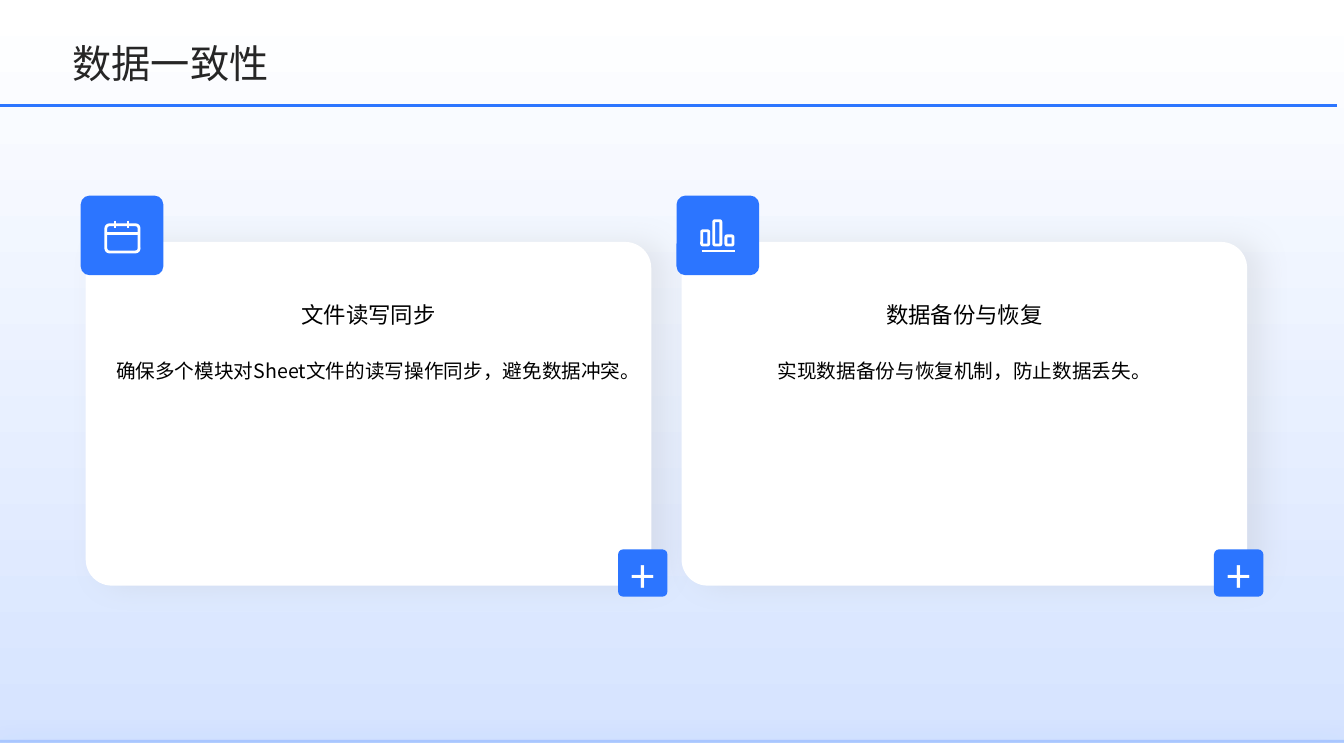
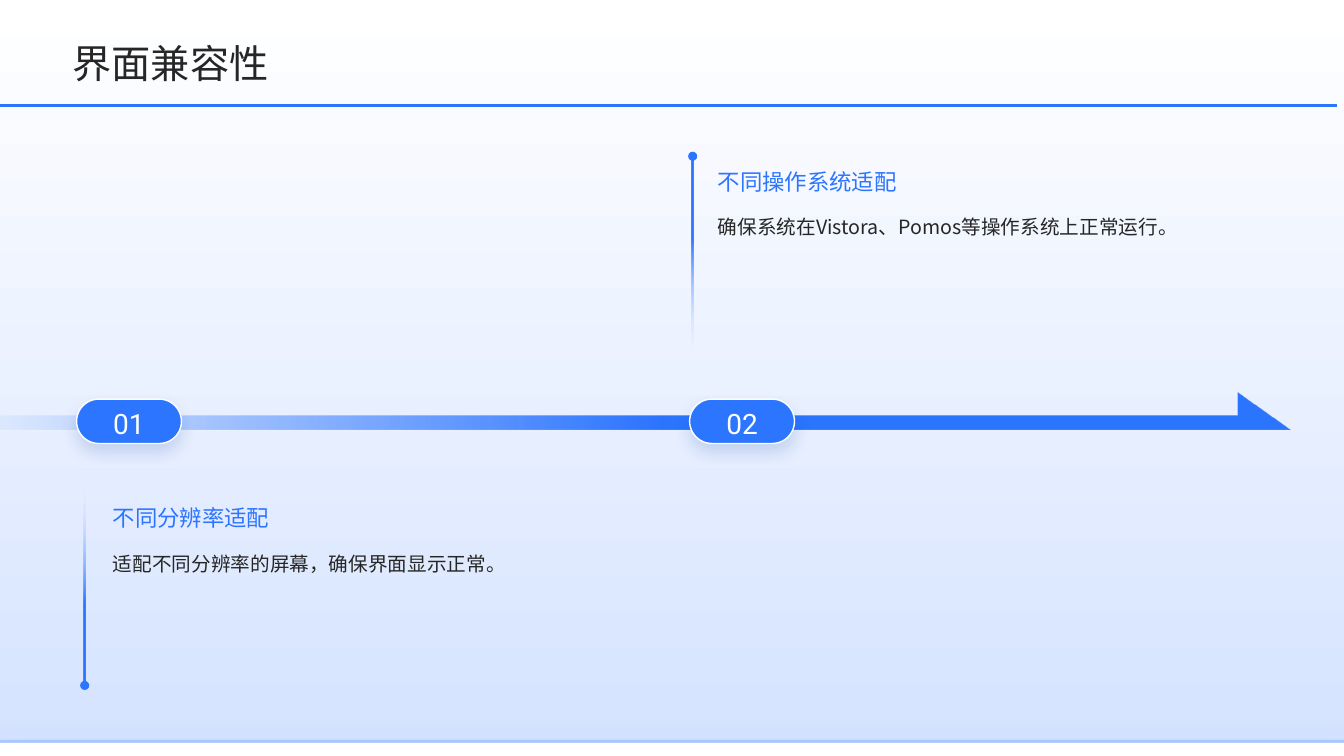
from dataclasses import dataclass

import pptx
import pptx.dml.color
import pptx.enum.dml
import pptx.enum.shapes
import pptx.enum.text
import pptx.oxml
import pptx.oxml.ns
import pptx.presentation
import pptx.shapes.base
import pptx.shapes.autoshape
import pptx.slide
import pptx.text.text
import pptx.util
from lxml import etree

Inches = pptx.util.Inches
Pt = pptx.util.Pt
Color = pptx.dml.color.RGBColor
Kind = pptx.enum.shapes.MSO_SHAPE
Align = pptx.enum.text.PP_ALIGN
Anchor = pptx.enum.text.MSO_ANCHOR
Shape = pptx.shapes.autoshape.Shape
Slide = pptx.slide.Slide
qn = pptx.oxml.ns.qn

BLUE = Color(0x2C, 0x75, 0xFF)
PALE = Color(0xD5, 0xE3, 0xFF)
SOFT = Color(0xAB, 0xC8, 0xFF)
NAVY = Color(0x00, 0x34, 0x96)
GRAY = Color(0xA6, 0xA6, 0xA6)
INK = Color(0x26, 0x26, 0x26)
BLACK = Color(0, 0, 0)
WHITE = Color(0xFF, 0xFF, 0xFF)
SANS = "Noto Sans CJK SC"
WIDTH, HEIGHT = 13.33, 7.5

Box = tuple[float, float, float, float]


@dataclass(frozen=True)
class Shade:
    color: Color
    alpha: int
    blur: float
    dist: float
    angle: int


@dataclass(frozen=True)
class Stop:
    place: float
    color: Color
    alpha: int = 100


@dataclass(frozen=True)
class Type:
    size: float
    color: Color
    font: str = SANS
    align: Align = Align.LEFT
    space: float = 1.0


@dataclass(frozen=True)
class Icon:
    """Outlined boxes (with their corner ratio) and strokes, relative to a tile."""
    frames: list[Box]
    round: float
    strokes: list[Box]


@dataclass(frozen=True)
class Card:
    head: str
    body: str
    icon: Icon


@dataclass(frozen=True)
class Step:
    mark: str
    head: str
    body: str
    pill: float
    stem: float
    text: float
    top: float
    mid: float
    dot: float
    turn: int


FOOT = Shade(BLUE, 10, 25, 10, 90)
LIFT = Shade(GRAY, 20, 20, 10, 0)
DROP = Shade(NAVY, 15, 12, 6, 90)

TITLE = Type(28, INK, space=1.1)
CARD_HEAD = Type(16, BLACK, align=Align.CENTER, space=1.1)
CARD_BODY = Type(14, BLACK, align=Align.CENTER, space=1.4)
PLUS = Type(32, WHITE, align=Align.CENTER, space=1.1)
MARK = Type(20, WHITE, "Roboto", Align.CENTER, 1.1)
STEP_HEAD = Type(16, BLUE)
STEP_BODY = Type(14, INK, space=1.5)

DATES = Icon([(0.25, 0.29, 0.33, 0.27)], 0.13,
             [(0.25, 0.38, 0.58, 0.38), (0.34, 0.25, 0.34, 0.32),
              (0.47, 0.25, 0.47, 0.32)])
CHART = Icon([(0.25, 0.35, 0.07, 0.14), (0.37, 0.25, 0.07, 0.24),
              (0.49, 0.4, 0.07, 0.09)], 0.15, [(0.25, 0.55, 0.58, 0.55)])

CARDS = [
    Card("文件读写同步", "确保多个模块对Sheet文件的读写操作同步，避免数据冲突。", DATES),
    Card("数据备份与恢复", "实现数据备份与恢复机制，防止数据丢失。", CHART),
]
STEPS = [
    Step("01", "不同分辨率适配", "适配不同分辨率的屏幕，确保界面显示正常。",
         0.76, 0.84, 1.12, 4.74, 5.81, 6.8, 270),
    Step("02", "不同操作系统适配", "确保系统在Vistora、Pomos等操作系统上正常运行。",
         6.84, 6.87, 7.12, 1.4, 2.54, 1.55, 90),
]


def add_alpha(color: etree._Element, alpha: int) -> None:
    if alpha < 100:
        etree.SubElement(color, qn("a:alpha")).set("val", str(alpha * 1000))


def add_shade(shape: Shape, shade: Shade) -> None:
    glow = etree.SubElement(shape.element.spPr.find(qn("a:effectLst")), qn("a:outerShdw"))
    glow.set("blurRad", str(Pt(shade.blur)))
    glow.set("dist", str(Pt(shade.dist)))
    glow.set("dir", str(shade.angle * 60000))
    glow.set("algn", "ctr")
    glow.set("rotWithShape", "0")
    color = etree.SubElement(glow, qn("a:srgbClr"))
    color.set("val", str(shade.color))
    add_alpha(color, shade.alpha)


def blend(shape: Shape, stops: list[Stop], angle: float = 0) -> None:
    """Fill with a two-stop gradient; the angle runs counter-clockwise."""
    shape.fill.gradient()
    shape.fill.gradient_angle = angle
    for mark, stop in zip(shape.fill.gradient_stops, stops):
        mark.position = stop.place
        mark.color.rgb = stop.color
    grad = shape.element.spPr.find(qn("a:gradFill"))
    for color, stop in zip(grad.iter(qn("a:srgbClr")), stops):
        add_alpha(color, stop.alpha)


def add_shape(slide: Slide, kind: Kind, box: Box, fill: Color | None = None,
              round: float | None = None, shade: Shade | None = None) -> Shape:
    shape = slide.shapes.add_shape(kind, *map(Inches, box))
    shape.shadow.inherit = False
    shape.line.fill.background()
    if fill is not None:
        shape.fill.solid()
        shape.fill.fore_color.rgb = fill
    if round is not None:
        shape.adjustments[0] = round
    if shade:
        add_shade(shape, shade)
    return shape


def set_text(shape: pptx.shapes.base.BaseShape, text: str, style: Type,
             anchor: Anchor = Anchor.MIDDLE, inset: bool = False) -> None:
    frame = shape.text_frame
    frame.word_wrap = True
    frame.auto_size = pptx.enum.text.MSO_AUTO_SIZE.NONE
    frame.vertical_anchor = anchor
    if not inset:
        frame.margin_left = frame.margin_right = 0
        frame.margin_top = frame.margin_bottom = 0
    frame.text = text
    para = frame.paragraphs[0]
    para.alignment = style.align
    para.line_spacing = style.space
    para.font.size = Pt(style.size)
    para.font.name = style.font
    para.font.color.rgb = style.color
    for props in shape.element.iter(qn("a:defRPr")):
        etree.SubElement(props, qn("a:ea")).set("typeface", style.font)


def add_text(slide: Slide, box: Box, text: str, style: Type, anchor: Anchor) -> None:
    set_text(slide.shapes.add_textbox(*map(Inches, box)), text, style, anchor)


def add_line(shapes: pptx.shapes.base.BaseShape, ends: Box, color: Color,
             width: float) -> None:
    kind = pptx.enum.shapes.MSO_CONNECTOR.STRAIGHT
    line = shapes.add_connector(kind, *map(Inches, ends))
    line.line.color.rgb = color
    line.line.width = Pt(width)
    etree.SubElement(line.element.spPr, qn("a:effectLst"))


def add_icon(slide: Slide, icon: Icon, left: float, top: float) -> None:
    group = slide.shapes.add_group_shape()
    for x, y, wide, high in icon.frames:
        frame = add_shape(group, Kind.ROUNDED_RECTANGLE,
                          (left + x, top + y, wide, high), round=icon.round)
        frame.fill.background()
        frame.line.color.rgb = WHITE
        frame.line.width = Pt(2)
    for x, y, right, low in icon.strokes:
        add_line(group.shapes, (left + x, top + y, left + right, top + low), WHITE, 2)


def add_slide(deck: pptx.presentation.Presentation, title: str) -> Slide:
    """Add a slide with the shared backdrop, foot bands, title and rule."""
    slide = deck.slides.add_slide(deck.slide_layouts[5])
    back = add_shape(slide, Kind.RECTANGLE, (0, 0, WIDTH, HEIGHT))
    blend(back, [Stop(0, PALE), Stop(1, WHITE)], 90)
    for top, high, fill in ((7.34, 0.08, SOFT), (7.37, 0.13, WHITE)):
        add_shape(slide, Kind.ROUNDED_RECTANGLE, (0, top, WIDTH, high), fill, 0, FOOT)
    head = slide.shapes.title
    head.left, head.top, head.width, head.height = map(Inches, (0.72, 0.35, 11.67, 0.51))
    set_text(head, title, TITLE)
    slide.shapes.element.append(head.element)
    add_line(slide.shapes, (0, 1.05, 13.26, 1.05), BLUE, 2.25)
    return slide


def add_card(slide: Slide, card: Card, left: float) -> None:
    tile = Kind.ROUNDED_RECTANGLE
    add_shape(slide, tile, (left, 2.4, 5.61, 3.41), WHITE, 0.076, LIFT)
    add_shape(slide, tile, (left - 0.05, 1.94, 0.82, 0.79), BLUE, 0.113)
    add_text(slide, (left + 0.25, 3.47, 5.11, 1.97), card.body, CARD_BODY, Anchor.TOP)
    add_text(slide, (left + 0.25, 2.84, 5.11, 0.54), card.head, CARD_HEAD, Anchor.MIDDLE)
    plus = add_shape(slide, tile, (left + 5.28, 5.45, 0.49, 0.47), BLUE, 0.113)
    set_text(plus, "+", PLUS, inset=True)
    add_icon(slide, card.icon, left - 0.05, 1.94)


def add_arrow(slide: Slide) -> None:
    points = [(12.27, 3.9), (12.8, 4.26), (-0.41, 4.26), (-0.41, 4.12), (12.27, 4.12)]
    first, *rest = [(Inches(x), Inches(y)) for x, y in points]
    path = slide.shapes.build_freeform(*first)
    path.add_line_segments(rest)
    arrow = path.convert_to_shape()
    arrow.shadow.inherit = False
    arrow.line.fill.background()
    blend(arrow, [Stop(0, BLUE, 0), Stop(0.53, BLUE)])


def add_step(slide: Slide, step: Step) -> None:
    pill = add_shape(slide, Kind.ROUNDED_RECTANGLE, (step.pill, 3.96, 1.04, 0.44),
                     BLUE, 0.5, DROP)
    pill.line.color.rgb = WHITE
    pill.line.width = Pt(1)
    set_text(pill, step.mark, MARK, inset=True)
    long, thin, dot = 1.93, 0.02, 0.09
    stem = add_shape(slide, Kind.RECTANGLE,
                     (step.stem - long / 2, step.mid - thin / 2, long, thin))
    stem.rotation = step.turn
    blend(stem, [Stop(0.41, BLUE), Stop(1, PALE, 0)])
    add_shape(slide, Kind.OVAL, (step.stem - dot / 2, step.dot - dot / 2, dot, dot), BLUE)
    add_text(slide, (step.text, step.top, 5.46, 0.53), step.head, STEP_HEAD, Anchor.BOTTOM)
    add_text(slide, (step.text, step.top + 0.62, 5.46, 1.46), step.body, STEP_BODY,
             Anchor.TOP)


def main() -> None:
    deck = pptx.Presentation()
    deck.slide_width, deck.slide_height = Inches(WIDTH), Inches(HEIGHT)

    slide = add_slide(deck, "数据一致性")
    for place, card in enumerate(CARDS):
        add_card(slide, card, 0.85 + 5.91 * place)

    slide = add_slide(deck, "界面兼容性")
    add_arrow(slide)
    for step in STEPS:
        add_step(slide, step)

    deck.save("out.pptx")


if __name__ == "__main__":
    main()
